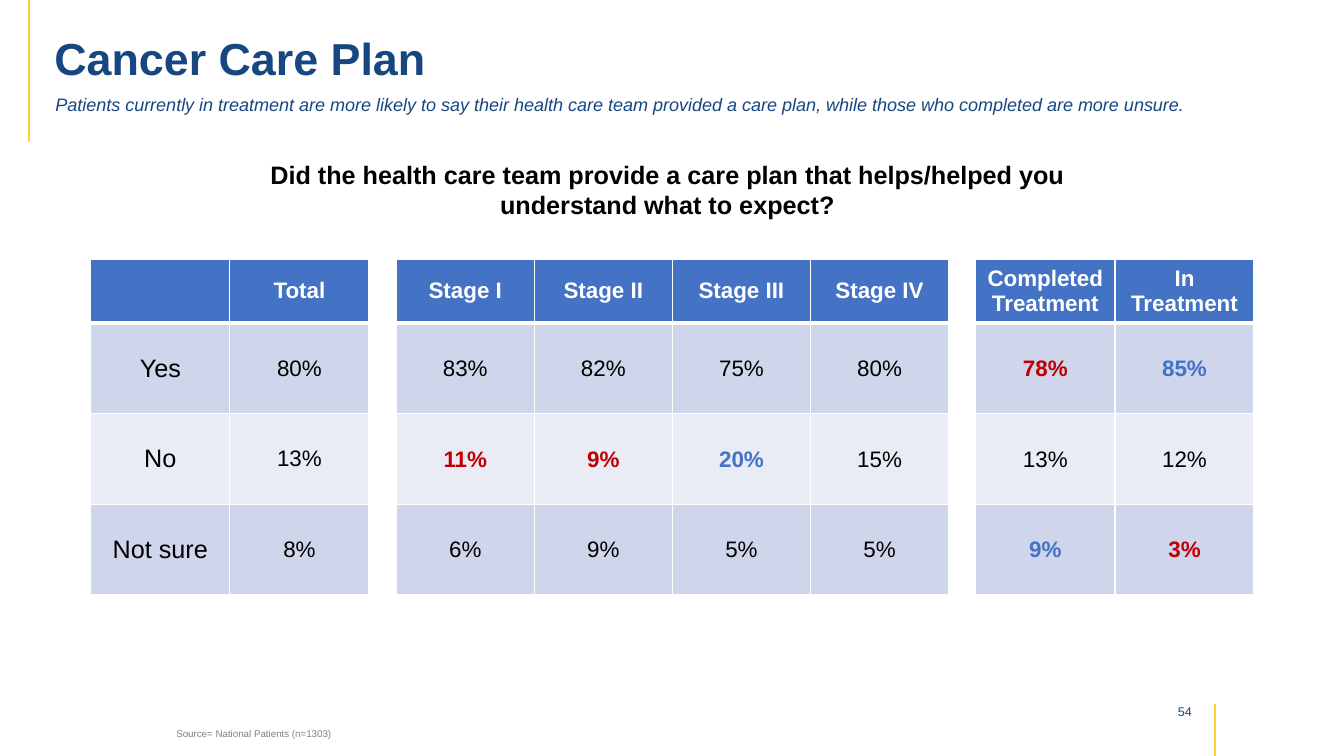
from lxml.etree import SubElement
from pptx import Presentation
from pptx.dml.color import RGBColor
from pptx.enum.shapes import MSO_CONNECTOR as Connector
from pptx.enum.text import MSO_ANCHOR as Anchor, PP_ALIGN as Align
from pptx.oxml.ns import qn
from pptx.util import Inches, Pt

WIDTH, HEIGHT = 13.33, 7.5
FONT = "Arial"
NAVY, GOLD, GREY, BLACK, WHITE = "174781", "FFD334", "808080", "000000", "FFFFFF"
BLUE, RED = "4472C4", "C00000"
BANDS = ["CFD5EA", "E9EBF5"]

# Content: text, (left, top, width, height), size, colour, style, alignment, anchor
TEXTS = [
    ("Cancer Care Plan", (0.44, 0.23, 12.39, 0.76), 32, NAVY, "bold", Align.LEFT, Anchor.MIDDLE),
    ("Patients currently in treatment are more likely to say their health care team "
     "provided a care plan, while those who completed are more unsure.",
     (0.45, 0.88, 12.35, 0.5), 12.9, NAVY, "italic", Align.LEFT, Anchor.TOP),
    ("Did the health care team provide a care plan that helps/helped you "
     "understand what to expect?",
     (2.25, 1.53, 8.74, 0.71), 18, BLACK, "bold", Align.CENTER, Anchor.TOP),
    ("Source= National Patients (n=1303)",
     (1.65, 7.17, 6.25, 0.22), 7, GREY, "", Align.LEFT, Anchor.TOP),
    ("54", (11.33, 6.93, 0.59, 0.25), 9, NAVY, "", Align.RIGHT, Anchor.TOP),
]

# Accent lines: x, top, bottom
ACCENTS = [(0.29, 0, 1.41), (12.05, 6.98, HEIGHT)]

# Table: None marks the gaps between the groups of columns
HEADERS = ["", "Total", None, "Stage I", "Stage II", "Stage III", "Stage IV",
           None, "Completed Treatment", "In Treatment"]
ANSWERS = [
    ["Yes", "80%", None, "83%", "82%", "75%", "80%", None, "78%", "85%"],
    ["No", "13%", None, "11%", "9%", "20%", "15%", None, "13%", "12%"],
    ["Not sure", "8%", None, "6%", "9%", "5%", "5%", None, "9%", "3%"],
]
HIGHLIGHTS = {(1, 8): RED, (1, 9): BLUE, (2, 3): RED, (2, 4): RED,
              (2, 5): BLUE, (3, 8): BLUE, (3, 9): RED}
TABLE_LEFT, TABLE_TOP = 0.9, 2.57
COLUMN, GAP = 1.37, 0.27
OUTER_COLUMN = 1.38
HEADER_ROW, ANSWER_ROW = 0.63, 0.9
FIRST_STAGE, LAST_STAGE = 3, 6


def rgb(colour):
    return RGBColor.from_string(colour)


def write(frame, text, size, colour, style="", align=Align.CENTER):
    paragraph = frame.paragraphs[0]
    paragraph.alignment = align
    run = paragraph.add_run()
    run.text = text
    font = run.font
    font.name, font.size = FONT, Pt(size)
    font.bold, font.italic = style == "bold", style == "italic"
    font.color.rgb = rgb(colour)
    return paragraph


def add_border(cell, side, points):
    properties = cell._tc.get_or_add_tcPr()
    line = SubElement(properties, qn(f"a:ln{side}"), w=str(Pt(points)))
    fill = SubElement(line, qn("a:solidFill"))
    SubElement(fill, qn("a:srgbClr"), val=WHITE)


def column_width(column):
    if HEADERS[column] is None:
        return GAP
    return COLUMN if FIRST_STAGE <= column <= LAST_STAGE else OUTER_COLUMN


presentation = Presentation()
presentation.slide_width, presentation.slide_height = Inches(WIDTH), Inches(HEIGHT)
slide = presentation.slides.add_slide(presentation.slide_layouts[6])

# Accent lines
for x, top, bottom in ACCENTS:
    accent = slide.shapes.add_connector(
        Connector.STRAIGHT, Inches(x), Inches(top), Inches(x), Inches(bottom))
    accent.line.color.rgb = rgb(GOLD)
    accent.line.width = Pt(1.5)
    SubElement(accent._element.spPr, qn("a:effectLst"))

# Title, subtitle, question, source and page number
for text, box, size, colour, style, align, anchor in TEXTS:
    frame = slide.shapes.add_textbox(*map(Inches, box)).text_frame
    frame.word_wrap = True
    frame.vertical_anchor = anchor
    paragraph = write(frame, text, size, colour, style, align)
    if anchor == Anchor.MIDDLE:
        paragraph.line_spacing = 0.9

# Table of answers
rows = [HEADERS] + ANSWERS
widths = [column_width(column) for column in range(len(HEADERS))]
heights = [HEADER_ROW] + [ANSWER_ROW] * len(ANSWERS)
table = slide.shapes.add_table(
    len(rows), len(widths), Inches(TABLE_LEFT), Inches(TABLE_TOP),
    Inches(sum(widths)), Inches(sum(heights))).table
table.first_row = table.horz_banding = False
for column, width in enumerate(widths):
    table.columns[column].width = Inches(width)

for row, values in enumerate(rows):
    table.rows[row].height = Inches(heights[row])
    is_header = row == 0
    band = BLUE if is_header else BANDS[(row - 1) % 2]
    for column, value in enumerate(values):
        cell = table.cell(row, column)
        cell.vertical_anchor = Anchor.MIDDLE
        if not is_header and column >= FIRST_STAGE:
            cell.margin_left = cell.margin_right = cell.margin_top = Inches(0.01)
            cell.margin_bottom = 0
        for side in "LRTB":
            under_header = (row, side) in [(0, "B"), (1, "T")]
            add_border(cell, side, 3 if under_header else 1)
        cell.fill.solid()
        cell.fill.fore_color.rgb = rgb(WHITE if value is None else band)
        if value:
            highlight = HIGHLIGHTS.get((row, column))
            colour = WHITE if is_header else highlight or BLACK
            size = 18 if column == 0 else 16
            write(cell.text_frame, value, size, colour,
                  "bold" if is_header or highlight else "")

presentation.save("out.pptx")
